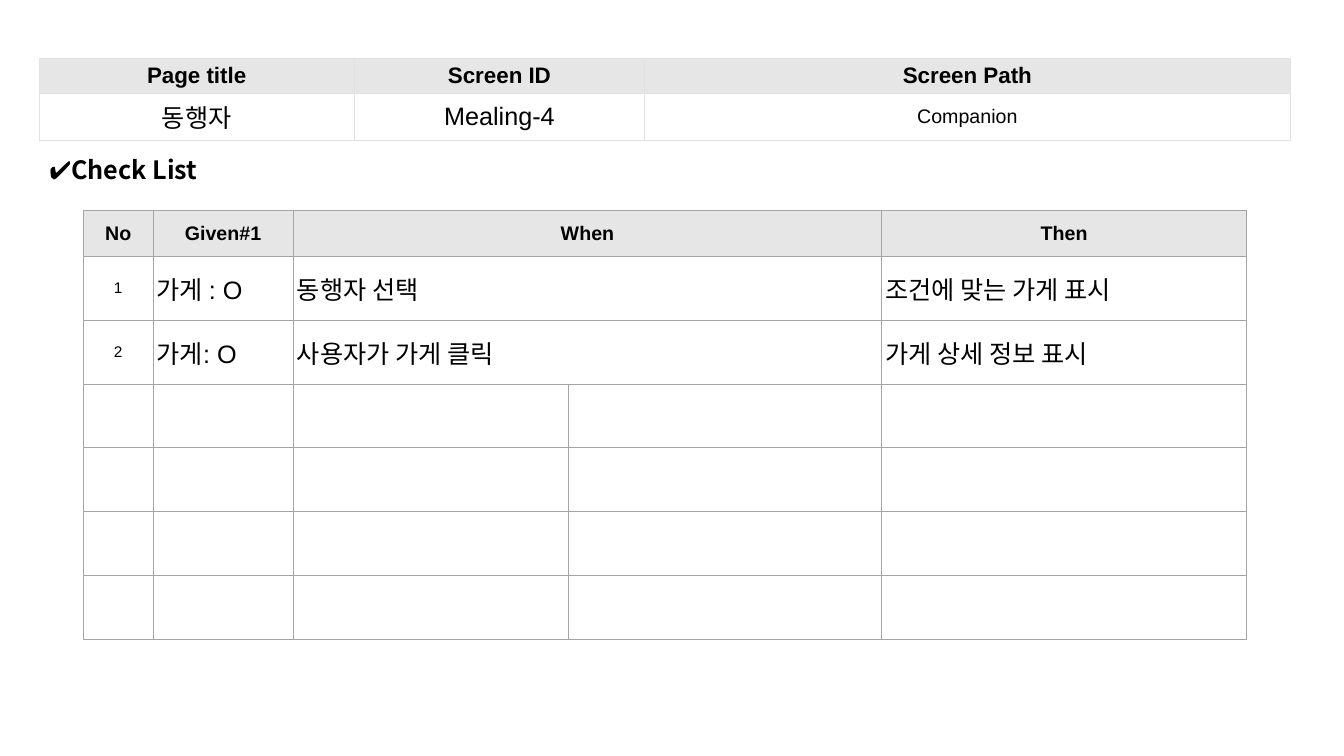
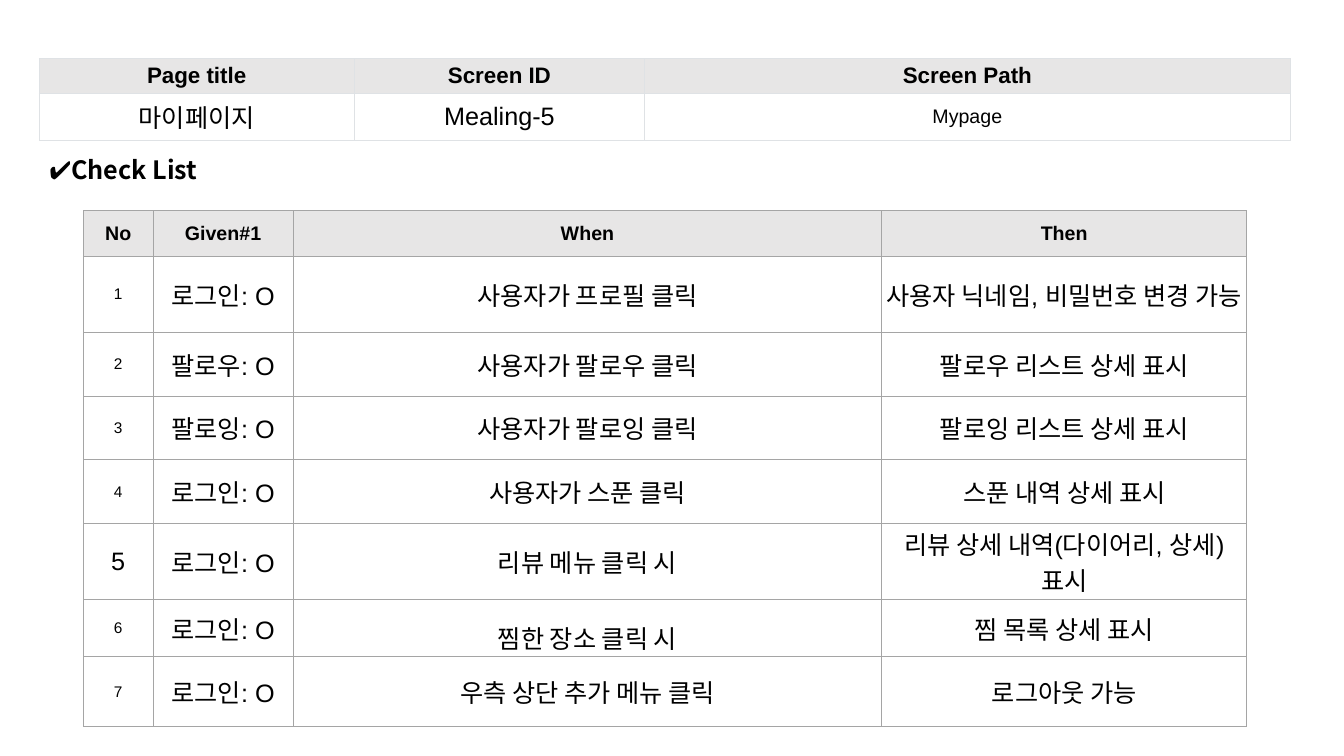
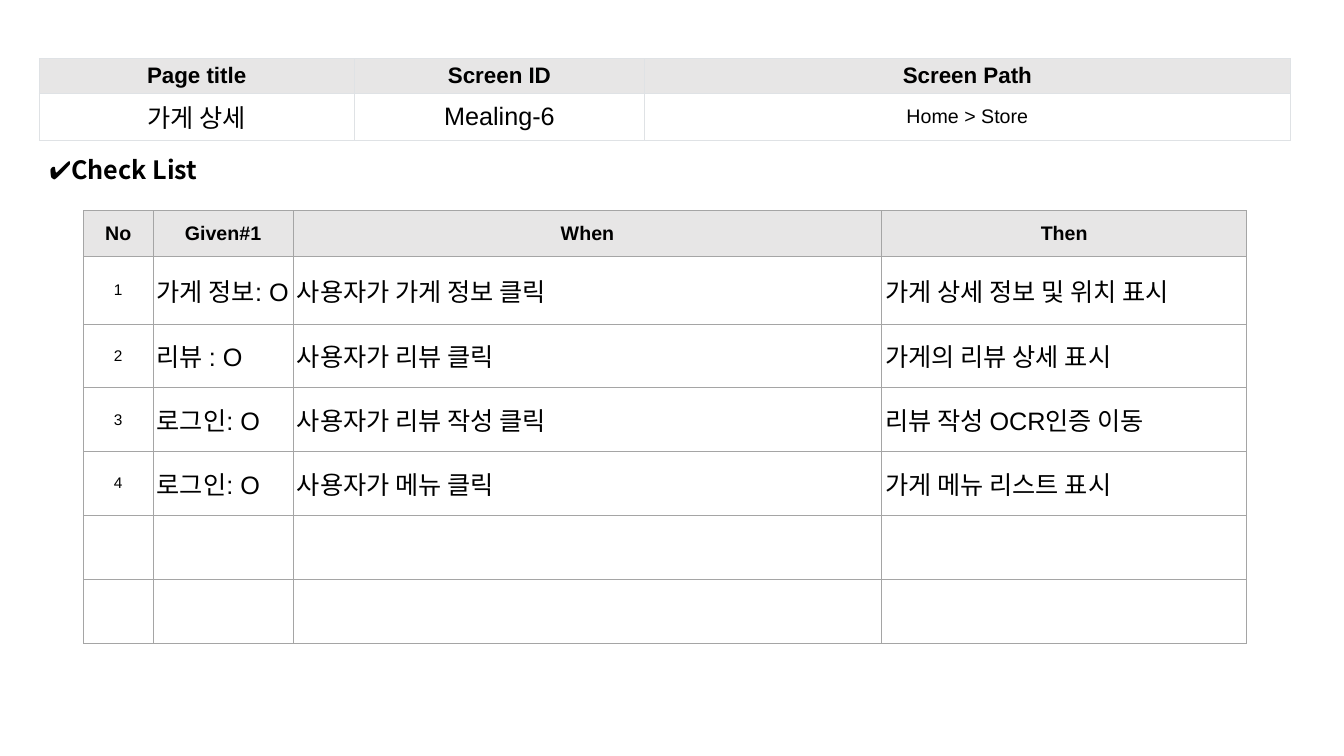
from lxml import etree
from pptx import Presentation
from pptx import util as u
from pptx.dml import color
from pptx.enum import text
from pptx.oxml import ns

Pt = u.Pt
LATIN, HANGUL = "Arial", "Noto Sans CJK KR"
BLACK, WHITE, HEAD = "000000", "FFFFFF", "E7E6E6"
PALE, GREY = "DFE2E5", "A5A5A5"
CENTER, LEFT = text.PP_ALIGN.CENTER, text.PP_ALIGN.LEFT


def rgb(value):
    return color.RGBColor.from_string(value)


class Deck:
    def __init__(self):
        self.prs = Presentation()
        self.prs.slide_width, self.prs.slide_height = Pt(960), Pt(540)
        self.s = None

    def add_slide(self):
        self.s = self.prs.slides.add_slide(self.prs.slide_layouts[5])

    def style(self, p, size, bold=False, font=LATIN, align=LEFT):
        p.alignment = align
        for r in p.runs:
            r.font.name, r.font.size, r.font.bold = font, Pt(size), bold
            r.font.color.rgb = rgb(BLACK)
            ea = etree.SubElement(r.font._element, ns.qn("a:ea"))
            ea.set("typeface", HANGUL)

    def title(self, words):
        sp = self.s.shapes.title
        sp.left, sp.top, sp.width, sp.height = Pt(28), Pt(106.5), Pt(133), Pt(29)
        tf = sp.text_frame
        tf.text = words
        tf.word_wrap = True
        tf.auto_size = text.MSO_AUTO_SIZE.NONE
        tf.vertical_anchor = text.MSO_ANCHOR.MIDDLE
        tf.margin_left = tf.margin_right = Pt(7.2)
        tf.margin_top = tf.margin_bottom = Pt(3.6)
        self.style(tf.paragraphs[0], 18, True, HANGUL)

    def border(self, cell, line):
        tc_pr = cell._tc.get_or_add_tcPr()
        for i, side in enumerate(("lnL", "lnR", "lnT", "lnB")):
            ln = etree.Element(ns.qn("a:" + side), w=str(Pt(0.75)))
            fill = etree.SubElement(ln, ns.qn("a:solidFill"))
            etree.SubElement(fill, ns.qn("a:srgbClr"), val=line)
            tc_pr.insert(i, ln)

    def cell(self, cell, words, fill, line, margins, size, bold, align):
        cell.fill.solid()
        cell.fill.fore_color.rgb = rgb(fill)
        self.border(cell, line)
        cell.vertical_anchor = text.MSO_ANCHOR.MIDDLE
        cell.margin_left = cell.margin_right = Pt(margins[0])
        cell.margin_top = cell.margin_bottom = Pt(margins[1])
        cell.text = words
        self.style(cell.text_frame.paragraphs[0], size, bold, align=align)

    def table(self, left, top, cols, heights, rows, line, margins, sizes, head_size, aligns):
        shape = self.s.shapes.add_table(len(rows), len(cols), Pt(left), Pt(top),
                                        Pt(sum(cols)), Pt(sum(heights)))
        tbl = shape.table
        tbl.first_row = tbl.horz_banding = False
        for col, width in zip(tbl.columns, cols):
            col.width = Pt(width)
        for y, (row, height) in enumerate(zip(rows, heights)):
            tbl.rows[y].height = Pt(height)
            head = y == 0
            for x, words in enumerate(row):
                self.cell(tbl.cell(y, x), words, HEAD if head else WHITE, line, margins,
                          head_size if head else sizes[x], head,
                          CENTER if head else aligns[x])
        return tbl

    def screen_info(self, *values):
        rows = [("Page title", "Screen ID", "Screen Path"), values]
        self.table(28, 41.8, (225, 207.5, 461), (25, 25), rows, PALE, (7.6, 3.6),
                   (18, 18, 14), 16, (CENTER,) * 3)

    def check_list(self, checks, blanks=0, align=LEFT, split=None, heights=None):
        rows = [("No", "Given#1", "When", "Then")]
        rows += [(str(n), *check) for n, check in enumerate(checks, 1)]
        rows += [("",) * 4] * blanks
        cols = [49.7, 100.1, 420.5, 260.6]
        sizes, aligns = [11, 18, 18, 18], [CENTER] + [align] * 3
        if split:
            cols[2:3] = split
            sizes.append(18)
            aligns.append(align)
            rows = [(*row[:3], "", row[3]) for row in rows]
        heights = heights or [32.8] + [45.6] * (len(rows) - 1)
        tbl = self.table(59.6, 150.4, cols, heights, rows, GREY, (2.7, 1),
                         sizes, 14, aligns)
        if split:
            for y in range(len(checks) + 1):
                tbl.cell(y, 2).merge(tbl.cell(y, 3))
        return tbl

    def page(self, name, number, route, checks, **options):
        self.add_slide()
        self.title("✔Check List")
        tbl = self.check_list(checks, **options)
        self.screen_info(name, f"Mealing-{number}", route)
        return tbl


deck = Deck()

deck.page("동행자", 4, "Companion", [
    ("가게 : O", "동행자 선택", "조건에 맞는 가게 표시"),
    ("가게: O", "사용자가 가게 클릭", "가게 상세 정보 표시"),
], blanks=4, split=(196.8, 223.7))

my_page = deck.page("마이페이지", 5, "Mypage", [
    ("로그인: O", "사용자가 프로필 클릭", "사용자 닉네임, 비밀번호 변경 가능"),
    ("팔로우: O", "사용자가 팔로우 클릭", "팔로우 리스트 상세 표시"),
    ("팔로잉: O", "사용자가 팔로잉 클릭", "팔로잉 리스트 상세 표시"),
    ("로그인: O", "사용자가 스푼 클릭", "스푼 내역 상세 표시"),
    ("로그인: O", "리뷰 메뉴 클릭 시", "리뷰 상세 내역(다이어리, 상세) 표시"),
    ("로그인: O", "찜한 장소 클릭 시", "찜 목록 상세 표시"),
    ("로그인: O", "우측 상단 추가 메뉴 클릭", "로그아웃 가능"),
], align=CENTER, heights=[32.8] + [45.6] * 5 + [38.2, 50])
my_page.cell(5, 0).text_frame.paragraphs[0].runs[0].font.size = Pt(18)
my_page.cell(6, 2).text_frame.paragraphs[0].line_spacing = 1.5

deck.page("가게 상세", 6, "Home > Store", [
    ("가게 정보: O", "사용자가 가게 정보 클릭", "가게 상세 정보 및 위치 표시"),
    ("리뷰 : O", "사용자가 리뷰 클릭", "가게의 리뷰 상세 표시"),
    ("로그인: O", "사용자가 리뷰 작성 클릭", "리뷰 작성 OCR인증 이동"),
    ("로그인: O", "사용자가 메뉴 클릭", "가게 메뉴 리스트 표시"),
], blanks=2)

deck.prs.save("out.pptx")
